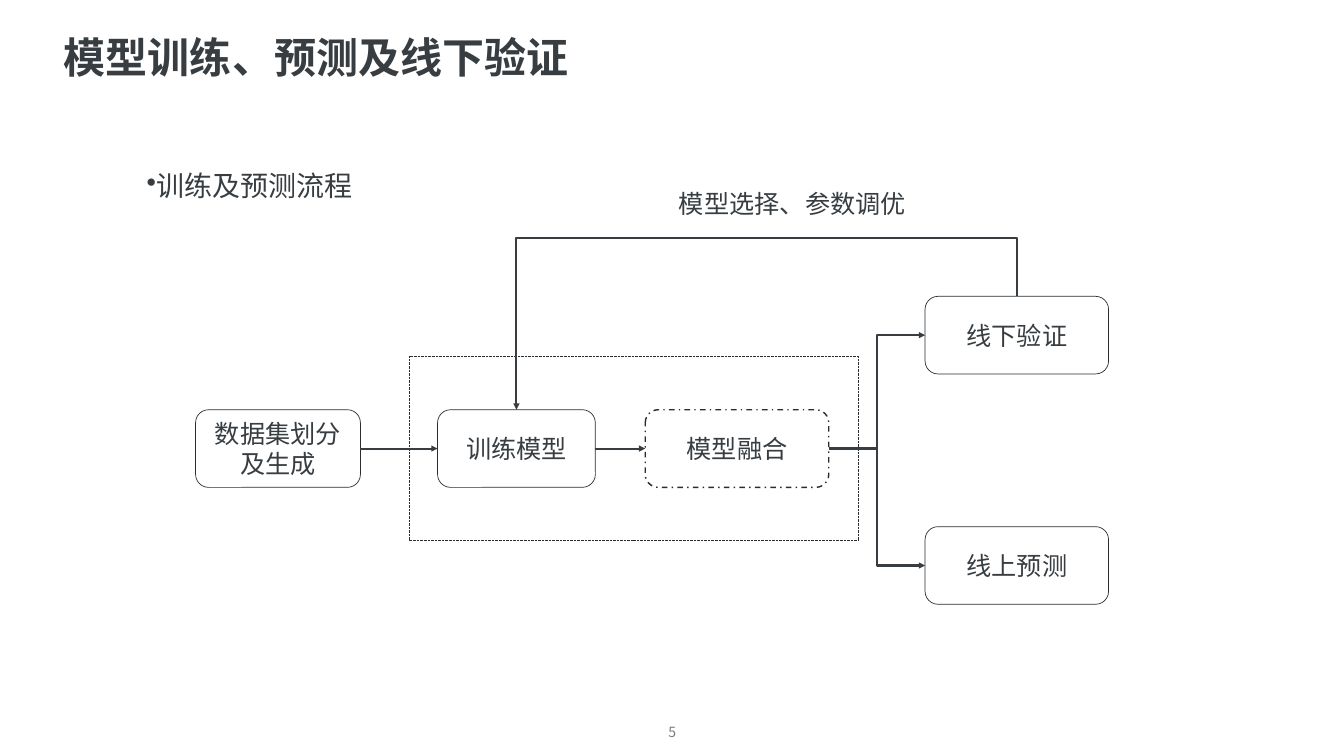
import pptx
import pptx.util
import pptx.dml.color
import pptx.enum.dml
import pptx.enum.shapes
import pptx.enum.text
import pptx.oxml
import pptx.oxml.ns
from pptx.util import Inches

COLORS = {"text": "373D41", "outline": "292D30", "page": "737D86", "background": "FFFFFF"}
SANS = "Noto Sans CJK SC"
SERIF = "Times New Roman"
TOP, LEFT, RIGHT = 0, 1, 3  # connection sites of a rectangle

ALIGN = pptx.enum.text.PP_ALIGN
ANCHOR = pptx.enum.text.MSO_ANCHOR
DASH = pptx.enum.dml.MSO_LINE
SHAPE = pptx.enum.shapes.MSO_SHAPE
CONNECTOR = pptx.enum.shapes.MSO_CONNECTOR


def rgb(name):
    return pptx.dml.color.RGBColor.from_string(COLORS[name])


def add_xml(parent, tag, **attributes):
    child = pptx.oxml.parse_xml(f"<{tag} {pptx.oxml.ns.nsdecls('a')}/>")
    for key, value in attributes.items():
        child.set(key, value)
    parent.append(child)
    return child


def write_text(shape, text, size=36, font=SANS, color="text", bold=False,
               align=ALIGN.LEFT, anchor=ANCHOR.TOP, line_spacing=None,
               space_before=None, bullet=None):
    frame = shape.text_frame
    frame.word_wrap = True
    frame.vertical_anchor = anchor
    paragraph = frame.paragraphs[0]
    paragraph.alignment = align
    if line_spacing:
        paragraph.line_spacing = line_spacing
    if space_before:
        paragraph.space_before = pptx.util.Pt(space_before)
    if bullet:
        properties = paragraph._p.get_or_add_pPr()
        properties.set("marL", str(Inches(0.5)))
        properties.set("indent", str(Inches(0.79)))
        add_xml(properties, "a:buChar", char=bullet)
    run = paragraph.add_run()
    run.text = text
    run.font.size = pptx.util.Pt(size)
    run.font.bold = bold
    run.font.name = font
    run.font.color.rgb = rgb(color)
    add_xml(run._r.get_or_add_rPr(), "a:ea", typeface=SANS)


def add_label(slide, text, left, top, width, height, **text_format):
    label = slide.shapes.add_textbox(Inches(left), Inches(top), Inches(width), Inches(height))
    write_text(label, text, **text_format)


def add_frame(slide, kind, left, top, width, height, weight=1, dash=None):
    frame = slide.shapes.add_shape(kind, Inches(left), Inches(top), Inches(width), Inches(height))
    frame.shadow.inherit = False
    frame.fill.background()
    frame.line.color.rgb = rgb("outline")
    frame.line.width = pptx.util.Pt(weight)
    if dash:
        frame.line.dash_style = dash
    return frame


def add_step(slide, text, left, top, width, **outline):
    step = add_frame(slide, SHAPE.ROUNDED_RECTANGLE, left, top, width, 1.54, **outline)
    write_text(step, text, font=SERIF, align=ALIGN.CENTER, anchor=ANCHOR.MIDDLE)
    return step


def add_arrow(slide, kind, begin=(0, 0), end=(0, 0)):
    arrow = slide.shapes.add_connector(kind, *begin, *end)
    arrow.line.color.rgb = rgb("text")
    arrow.line.width = pptx.util.Pt(3)
    add_xml(arrow.line._get_or_add_ln(), "a:tailEnd", type="triangle")
    add_xml(arrow._element.spPr, "a:effectLst")
    return arrow


def link_steps(slide, source, target, kind):
    arrow = add_arrow(slide, kind)
    arrow.begin_connect(source, RIGHT)
    arrow.end_connect(target, LEFT)


def add_feedback(slide, source, target, rise):
    """Elbow from the top of source, up by rise, then down onto the top of target."""
    start_x, end_x = (step.left + step.width // 2 for step in (source, target))
    center_x, center_y = (start_x + end_x) // 2, (source.top + target.top) // 2
    drop = target.top - source.top
    half_drop, half_span = drop // 2, (start_x - end_x) // 2
    # The elbow is laid out upright, then turned by 270 degrees about its centre
    arrow = add_arrow(slide, CONNECTOR.ELBOW,
                      (center_x + half_drop, center_y + half_span),
                      (center_x - half_drop, center_y - half_span))
    properties = arrow._element.spPr
    properties.xfrm.set("rot", str(270 * 60000))
    guides = properties.prstGeom.get_or_add_avLst()
    add_xml(guides, "a:gd", name="adj1", fmla=f"val {round(-100000 * rise / drop)}")


def main():
    deck = pptx.Presentation()
    deck.slide_width, deck.slide_height = Inches(26.66), Inches(15)
    slide = deck.slides.add_slide(deck.slide_layouts[6])
    slide.background.fill.solid()
    slide.background.fill.fore_color.rgb = rgb("background")

    # Page number, title and topic
    add_label(slide, "5", 12.25, 14.31, 2.17, 0.44, size=20, color="page", align=ALIGN.CENTER)
    add_label(slide, "模型训练、预测及线下验证", 1.17, 0.69, 24.25, 0.99, size=60, bold=True,
              anchor=ANCHOR.MIDDLE, line_spacing=0.9)
    add_label(slide, "训练及预测流程", 1.52, 2.97, 22.6, 1.73, size=40,
              line_spacing=1.5, space_before=20, bullet="•")

    # Steps of the flow
    main_row = 8.13
    dataset = add_step(slide, "数据集划分及生成", 3.88, main_row, 3.27)
    training = add_step(slide, "训练模型", 8.68, main_row, 3.13)
    fusion = add_step(slide, "模型融合", 12.8, main_row, 3.64, weight=2, dash=DASH.DASH_DOT)
    validation = add_step(slide, "线下验证", 18.35, 5.88, 3.64)
    prediction = add_step(slide, "线上预测", 18.35, 10.45, 3.64)

    # Dotted frame around the modelling steps
    add_frame(slide, SHAPE.RECTANGLE, 8.13, 7.07, 8.9, 3.66, dash=DASH.ROUND_DOT)

    # Arrows
    link_steps(slide, dataset, training, CONNECTOR.STRAIGHT)
    link_steps(slide, training, fusion, CONNECTOR.STRAIGHT)
    for outcome in (validation, prediction):
        link_steps(slide, fusion, outcome, CONNECTOR.ELBOW)
    add_feedback(slide, validation, training, Inches(1.15))
    add_label(slide, "模型选择、参数调优", 13.37, 3.68, 4.98, 0.71)

    deck.save("out.pptx")


if __name__ == "__main__":
    main()
